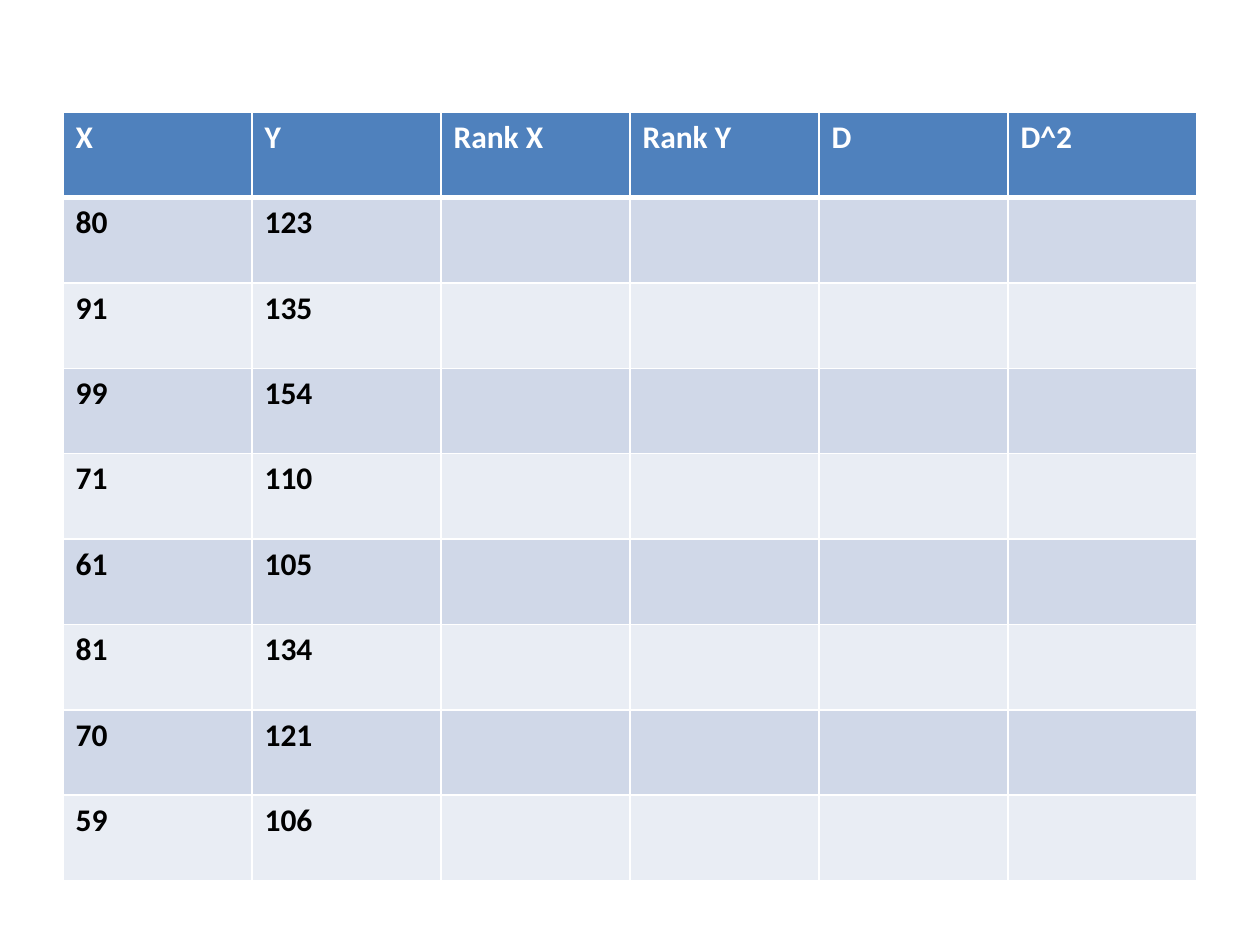
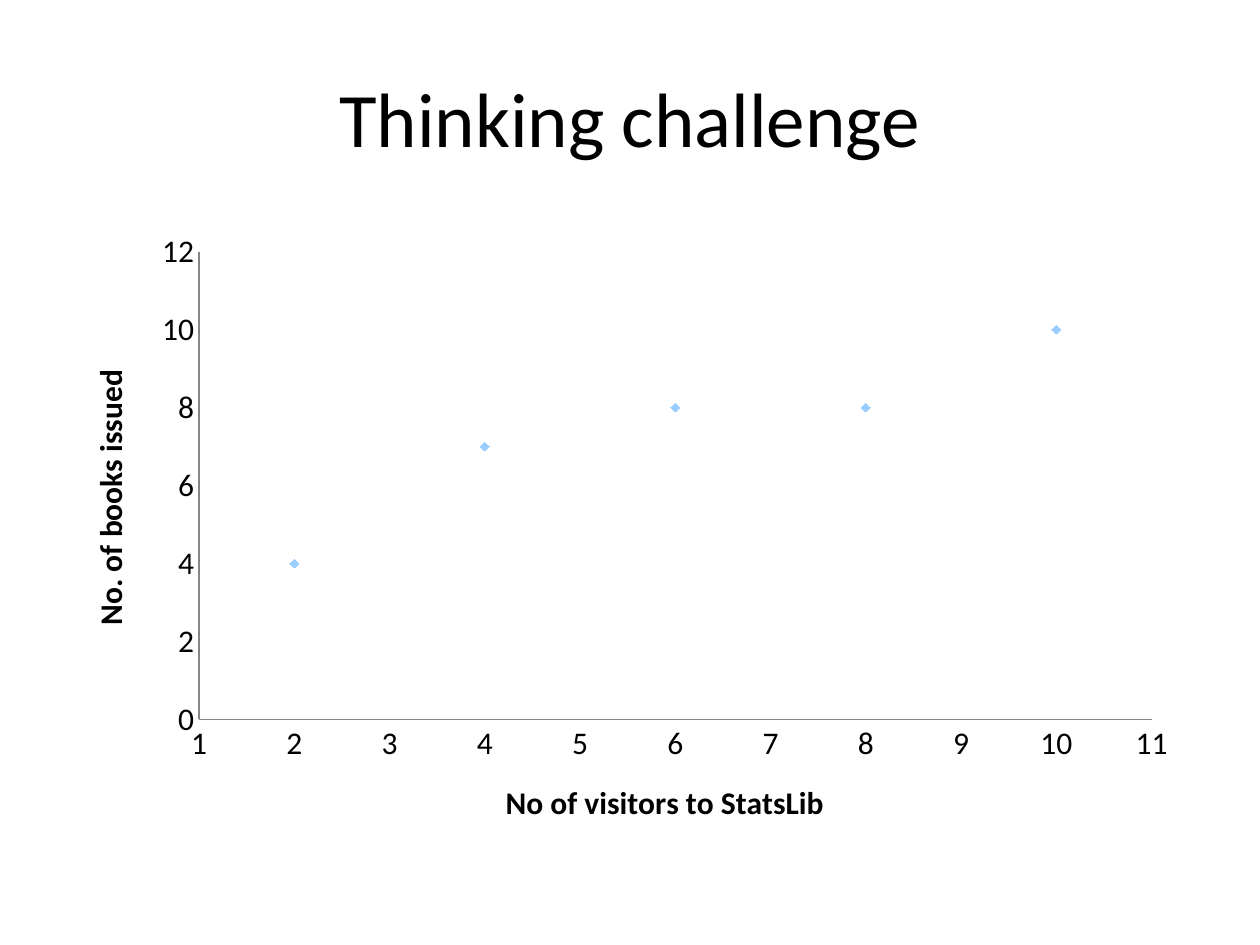
from dataclasses import dataclass

from lxml.etree import SubElement
from pptx import Presentation
from pptx.chart.data import XyChartData
from pptx.dml.color import RGBColor as RGB
from pptx.enum.chart import XL_CHART_TYPE as ChartType
from pptx.enum.chart import XL_MARKER_STYLE as Marker
from pptx.enum.chart import XL_TICK_MARK as Tick
from pptx.enum.text import MSO_ANCHOR as Anchor
from pptx.enum.text import PP_ALIGN as Align
from pptx.oxml import parse_xml
from pptx.oxml.ns import nsdecls, qn
from pptx.util import Inches, Pt


@dataclass(frozen=True)
class Theme:
    font: str = "Calibri"
    title_size: int = 44
    body_size: int = 18
    ink: str = "000000"
    paper: str = "FFFFFF"
    header: str = "4F81BD"
    bands: tuple = ("D0D8E8", "E9EDF4")
    point: str = "99CCFF"
    axis: str = "868686"


THEME = Theme()
LEFT, WIDTH = Inches(0.5), Inches(9)
HEADINGS = ("X", "Y", "Rank X", "Rank Y", "D", "D^2")
SCORES = ((80, 123), (91, 135), (99, 154), (71, 110),
          (61, 105), (81, 134), (70, 121), (59, 106))
VISITS = ((6, 8), (2, 4), (10, 10), (4, 7), (8, 8))
PLOT_AREA = {"x": 0.12, "y": 0.05, "w": 0.84, "h": 0.75}


def style_font(font, size, color, bold=False):
    font.name = THEME.font
    font.size = Pt(size)
    font.bold = bold
    font.color.rgb = RGB.from_string(color)


def add_slide(deck):
    slide = deck.slides.add_slide(deck.slide_layouts[6])
    slide.background.fill.solid()
    slide.background.fill.fore_color.rgb = RGB.from_string(THEME.paper)
    return slide


def add_title(slide, wording):
    frame = slide.shapes.add_textbox(LEFT, Inches(0.3), WIDTH, Inches(1.25)).text_frame
    frame.word_wrap = True
    frame.vertical_anchor = Anchor.MIDDLE
    heading = frame.paragraphs[0]
    heading.text = wording
    heading.alignment = Align.CENTER
    style_font(heading.font, THEME.title_size, THEME.ink)


def set_borders(cell, widths):
    properties = cell._tc.get_or_add_tcPr()
    for position, (side, points) in enumerate(widths.items()):
        properties.insert(position, parse_xml(
            f'<a:ln{side} {nsdecls("a")} w="{Pt(points)}"><a:solidFill>'
            f'<a:srgbClr val="{THEME.paper}"/></a:solidFill></a:ln{side}>'))


def fill_cell(cell, wording, fill, color, widths):
    cell.fill.solid()
    cell.fill.fore_color.rgb = RGB.from_string(fill)
    entry = cell.text_frame.paragraphs[0]
    if wording:
        entry.text = wording
    style_font(entry.font, THEME.body_size, color, bold=True)
    set_borders(cell, widths)


def add_rank_table(slide):
    rows = [HEADINGS, *SCORES]
    table = slide.shapes.add_table(len(rows), len(HEADINGS), LEFT, Inches(0.89),
                                   WIDTH, Inches(6.1)).table
    for r, values in enumerate(rows):
        fill = THEME.bands[(r - 1) % 2] if r else THEME.header
        color = THEME.ink if r else THEME.paper
        widths = {"L": 1, "R": 1, "T": 3 if r == 1 else 1, "B": 1 if r else 3}
        for c in range(len(HEADINGS)):
            wording = str(values[c]) if c < len(values) else ""
            fill_cell(table.cell(r, c), wording, fill, color, widths)


def style_axis(axis, title, low, high, step):
    axis.minimum_scale, axis.maximum_scale, axis.major_unit = low, high, step
    axis.has_major_gridlines = False
    axis.major_tick_mark = axis.minor_tick_mark = Tick.NONE
    axis.format.line.color.rgb = RGB.from_string(THEME.axis)
    style_font(axis.tick_labels.font, THEME.body_size, THEME.ink)
    caption = axis.axis_title.text_frame.paragraphs[0]
    caption.text = title
    style_font(caption.font, THEME.body_size, THEME.ink, bold=True)


def place_plot(chart):
    plot_area = chart._chartSpace.chart.plotArea
    for automatic in plot_area.findall(qn("c:layout")):
        plot_area.remove(automatic)
    layout = parse_xml(f'<c:layout {nsdecls("c")}><c:manualLayout/></c:layout>')
    settings = {"layoutTarget": "inner", "xMode": "edge", "yMode": "edge", **PLOT_AREA}
    for name, value in settings.items():
        SubElement(layout[0], qn(f"c:{name}")).set("val", str(value))
    plot_area.insert(0, layout)


def add_visits_chart(slide):
    data = XyChartData()
    points = data.add_series("Series 1")
    for visitors, books in VISITS:
        points.add_data_point(visitors, books)
    chart = slide.shapes.add_chart(ChartType.XY_SCATTER, LEFT, Inches(1.75),
                                   WIDTH, Inches(4.95), data).chart
    chart.has_title = chart.has_legend = False
    style_font(chart.font, THEME.body_size, THEME.ink)
    style_axis(chart.category_axis, "No of visitors to StatsLib", 1, 11, 1)
    style_axis(chart.value_axis, "No. of books issued", 0, 12, 2)
    chart.plots[0].vary_by_categories = False
    series = chart.plots[0].series[0]
    series.smooth = False
    series.format.line.fill.background()
    series.marker.style = Marker.DIAMOND
    series.marker.size = 5
    series.marker.format.fill.solid()
    series.marker.format.fill.fore_color.rgb = RGB.from_string(THEME.point)
    series.marker.format.line.color.rgb = RGB.from_string(THEME.point)
    place_plot(chart)


def main():
    deck = Presentation()
    deck.slide_width, deck.slide_height = Inches(10), Inches(7.5)
    add_rank_table(add_slide(deck))
    challenge = add_slide(deck)
    add_title(challenge, "Thinking challenge")
    add_visits_chart(challenge)
    deck.save("out.pptx")


if __name__ == "__main__":
    main()
